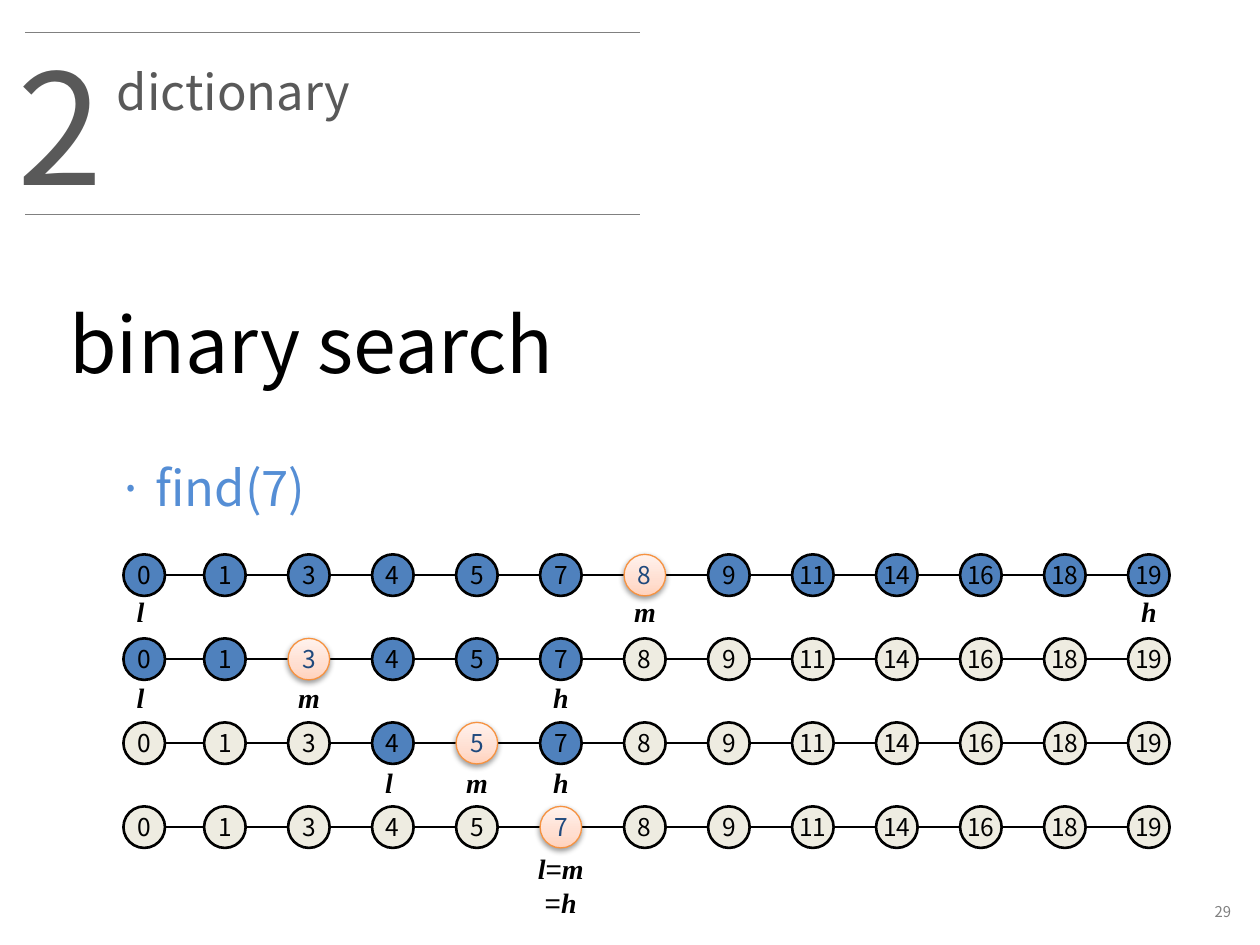
from pptx import Presentation
from pptx.dml.color import RGBColor
from pptx.enum.shapes import MSO_CONNECTOR, MSO_SHAPE
from pptx.enum.text import MSO_ANCHOR, MSO_AUTO_SIZE, PP_ALIGN
from pptx.oxml import parse_xml
from pptx.oxml.ns import nsdecls, qn
from pptx.util import Inches, Pt

LEFT, CENTER, RIGHT = PP_ALIGN.LEFT, PP_ALIGN.CENTER, PP_ALIGN.RIGHT
TOP, MIDDLE = MSO_ANCHOR.TOP, MSO_ANCHOR.MIDDLE
NO_FIT = MSO_AUTO_SIZE.NONE
STRAIGHT = MSO_CONNECTOR.STRAIGHT
ELLIPSE = MSO_SHAPE.OVAL

SANS = "Noto Sans CJK KR"
SERIF = "Times New Roman"
SYMBOL = "Arial"
COLORS = {
    "black": "000000",
    "rule": "808080",
    "heading": "595959",
    "bullet": "558ED5",
    "active": "4F81BD",
    "excluded": "EEECE1",
    "middle_line": "F69240",
    "middle_text": "1F497D",
}
MIDDLE_STOPS = [(0, "FFD2BD"), (35, "FFDED0"), (100, "FFF2ED")]

VALUES = [0, 1, 3, 4, 5, 7, 8, 9, 11, 14, 16, 18, 19]
STEPS = [(0, 6, 12), (0, 2, 5), (3, 4, 5), (5, 5, 5)]
NODE_SIZE = 0.33
NODE_PITCH = 2 / 3
FIRST_LEFT = 0.98
FIRST_TOP = 4.4
LABEL_TOP = 4.67
LABEL_PITCH = 0.68


def color(name):
    return RGBColor.from_string(COLORS[name])


def add_span(para, text, size, tint, font=SANS, strong=False):
    span = para.add_run()
    span.text = text
    span.font.name = font
    span.font.size = Pt(size)
    span.font.bold = span.font.italic = strong
    span.font.color.rgb = color(tint)


def set_frame(box, align=LEFT, anchor=TOP, wrap=True):
    frame = box.text_frame
    frame.auto_size = NO_FIT
    frame.word_wrap = wrap
    frame.vertical_anchor = anchor
    para = frame.paragraphs[0]
    para.alignment = align
    return para


def add_text(page, left, top, width, height, **layout):
    box = page.shapes.add_textbox(Inches(left), Inches(top), Inches(width), Inches(height))
    return set_frame(box, **layout)


def fill_placeholder(box, left, top, width, height, text, size, tint):
    box.left, box.top = Inches(left), Inches(top)
    box.width, box.height = Inches(width), Inches(height)
    para = set_frame(box)
    para.space_before = Pt(0)
    properties = para._p.get_or_add_pPr()
    properties.set("marL", "0")
    properties.set("indent", "0")
    properties.append(parse_xml(f"<a:buNone {nsdecls('a')}/>"))
    add_span(para, text, size, tint)


def add_line(page, start, end, top, tint, weight):
    line = page.shapes.add_connector(STRAIGHT, Inches(start), Inches(top), Inches(end), Inches(top))
    line.line.color.rgb = color(tint)
    line.line.width = Pt(weight)
    line._element.spPr.append(parse_xml(f"<a:effectLst {nsdecls('a')}/>"))


def highlight(node):
    stops = "".join(
        f'<a:gs pos="{position * 1000}"><a:srgbClr val="{tint}"/></a:gs>'
        for position, tint in MIDDLE_STOPS
    )
    properties = node._element.spPr
    properties.find(qn("a:prstGeom")).addnext(parse_xml(
        f"<a:gradFill {nsdecls('a')}><a:gsLst>{stops}</a:gsLst>"
        '<a:lin ang="16200000" scaled="0"/></a:gradFill>'
    ))
    properties.find(qn("a:effectLst")).append(parse_xml(
        f'<a:outerShdw {nsdecls("a")} blurRad="40000" dist="20000" dir="5400000" rotWithShape="0">'
        '<a:srgbClr val="000000"><a:alpha val="38000"/></a:srgbClr></a:outerShdw>'
    ))


def node_left(index):
    return FIRST_LEFT if index == 0 else 1.62 + (index - 1) * NODE_PITCH


def add_node(page, index, top, state):
    node = page.shapes.add_shape(
        ELLIPSE, Inches(node_left(index)), Inches(top), Inches(NODE_SIZE), Inches(NODE_SIZE)
    )
    node.shadow.inherit = False
    is_middle = state == "middle"
    if is_middle:
        highlight(node)
    else:
        node.fill.solid()
        node.fill.fore_color.rgb = color(state)
    node.line.color.rgb = color("middle_line" if is_middle else "black")
    node.line.width = Pt(0.75 if is_middle else 1.5)
    para = set_frame(node, align=CENTER, anchor=MIDDLE, wrap=False)
    add_span(para, str(VALUES[index]), 14, "middle_text" if is_middle else "black")


def add_step(page, row, low, middle, high):
    top = FIRST_TOP + row * NODE_PITCH
    last = len(VALUES) - 1
    add_line(page, FIRST_LEFT + NODE_SIZE, node_left(last), top + NODE_SIZE / 2, "black", 1.5)
    for index in range(len(VALUES)):
        if index == middle:
            state = "middle"
        else:
            state = "active" if low <= index <= high else "excluded"
        add_node(page, index, top, state)


def add_pointers(page, row, low, middle, high):
    top = LABEL_TOP + row * LABEL_PITCH
    if low == high:
        para = add_text(page, 4.02, top, 0.86, 0.37, align=CENTER)
        for text in ("l", "=", "m ", "=", "h"):
            is_sign = text == "="
            add_span(para, text, 16, "black", SYMBOL if is_sign else SERIF, not is_sign)
        return
    for text, index, width, shift in (
        ("l", low, 0.26, -0.03), ("m", middle, 0.38, 0), ("h", high, 0.32, 0)
    ):
        left = node_left(index) + (NODE_SIZE - width) / 2 + shift
        para = add_text(page, left, top, width, 0.37, align=CENTER, wrap=False)
        add_span(para, text, 16, "black", SERIF, True)


def main():
    deck = Presentation()
    deck.slide_width, deck.slide_height = Inches(10), Inches(7.5)
    page = deck.slides.add_slide(deck.slide_layouts[1])
    title, body = page.placeholders

    for top in (0.26, 1.7):
        add_line(page, 0.2, 5.08, top, "rule", 0.75)
    add_span(add_text(page, 0.83, 0.44, 2.83, 0.57), "dictionary", 28, "heading")
    add_span(add_text(page, 0.04, 0.2, 0.79, 1.58), "2", 88, "heading")
    fill_placeholder(title, 0.45, 2.3, 7.93, 0.84, "binary search", 44, "black")
    fill_placeholder(body, 0.83, 3.58, 3.13, 0.57, "· find(7)", 28, "bullet")

    for row, step in enumerate(STEPS):
        add_step(page, row, *step)
    for row, step in enumerate(STEPS):
        add_pointers(page, row, *step)

    number = add_text(page, 7.76, 7.1, 2.11, 0.27, align=RIGHT, anchor=MIDDLE)
    add_span(number, "29", 8.5, "rule")
    deck.save("out.pptx")


if __name__ == "__main__":
    main()
